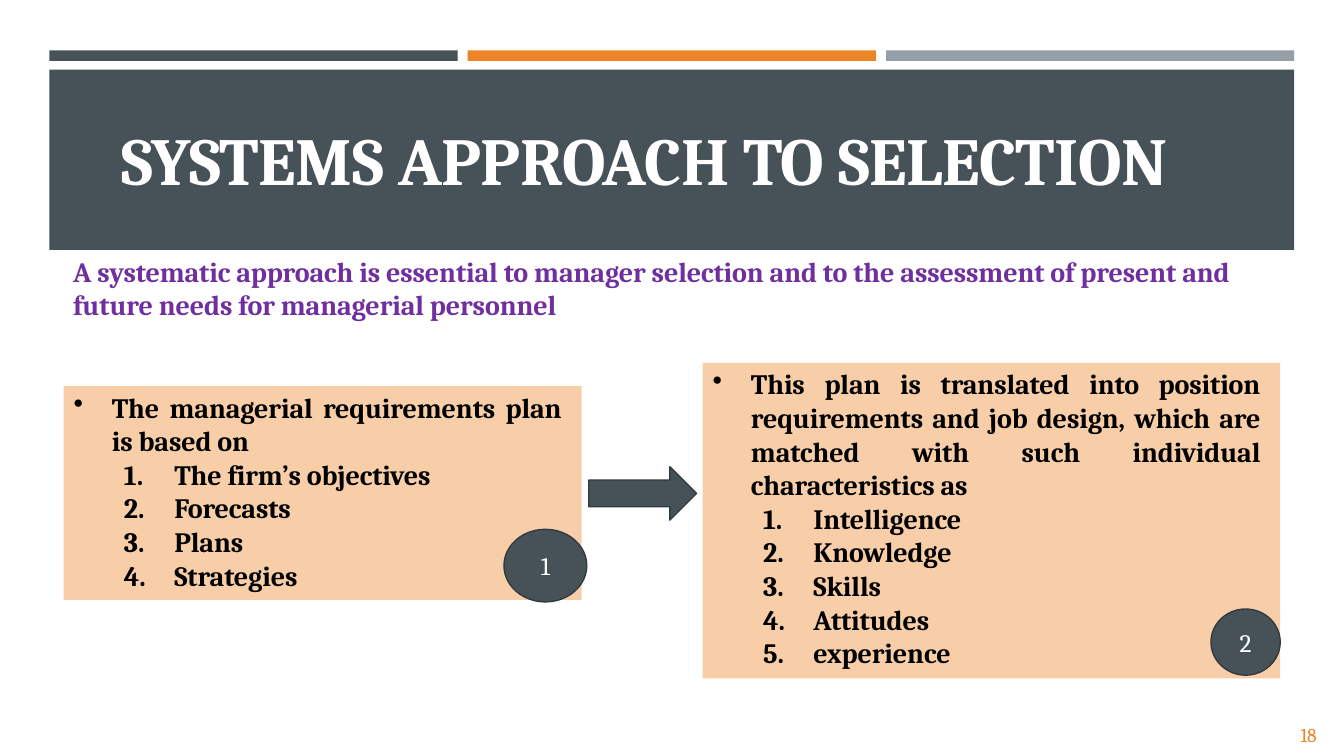
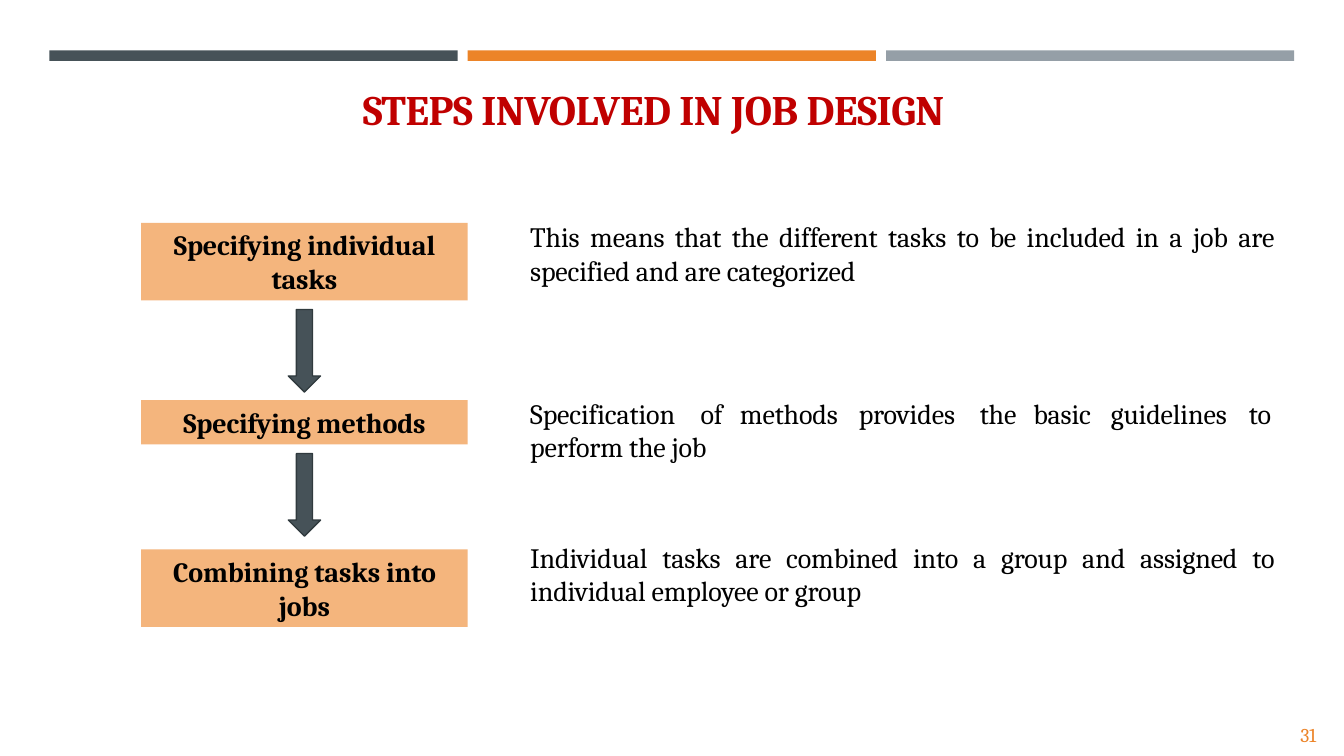
from dataclasses import dataclass

import pptx
import pptx.dml.color
import pptx.enum.shapes
import pptx.enum.text
import pptx.util
from lxml import etree
from pptx.oxml.ns import qn

SHAPE = pptx.enum.shapes.MSO_SHAPE
ALIGN = pptx.enum.text.PP_ALIGN
ANCHOR = pptx.enum.text.MSO_ANCHOR
SLIDE_WIDTH = pptx.util.Inches(13.33)
SLIDE_HEIGHT = pptx.util.Inches(7.5)


@dataclass(frozen=True)
class Theme:
    font: str = "Cambria"
    slate: str = "465258"
    outline: str = "303A3E"
    orange: str = "EC8428"
    gray: str = "959FA7"
    panel: str = "F8CEA9"
    step: str = "F4B57D"
    purple: str = "6F2F9F"
    red: str = "C00000"
    white: str = "FFFFFF"
    black: str = "000000"
    banner_size: int = 48
    heading_size: int = 30
    body_size: int = 20
    badge_size: int = 18
    page_size: int = 14


THEME = Theme()


def columns(count):
    """Length of some of the 100 columns across the slide."""
    return round(SLIDE_WIDTH * count / 100)


def rows(count):
    """Length of some of the 100 rows down the slide."""
    return round(SLIDE_HEIGHT * count / 100)


@dataclass(frozen=True)
class Box:
    """Area of the slide, in columns and rows."""
    left: float
    top: float
    width: float
    height: float

    def inner_box(self, left, top, width, height):
        """Area given as shares of this one."""
        return Box(self.left + left * self.width, self.top + top * self.height,
                   width * self.width, height * self.height)

    def place(self):
        return (columns(self.left), rows(self.top),
                columns(self.width), rows(self.height))


def color(value):
    return pptx.dml.color.RGBColor.from_string(value)


def add_shape(slide, kind, box, fill, line=None):
    shape = slide.shapes.add_shape(kind, *box.place())
    shape.shadow.inherit = False
    shape.fill.solid()
    shape.fill.fore_color.rgb = color(fill)
    if line:
        shape.line.color.rgb = color(line)
        shape.line.width = pptx.util.Pt(0.96)
    else:
        shape.line.fill.background()
    return shape


def prepare_frame(shape, anchor, left=0, top=0, right=0):
    frame = shape.text_frame
    frame.auto_size = pptx.enum.text.MSO_AUTO_SIZE.NONE
    frame.word_wrap = True
    frame.vertical_anchor = anchor
    frame.margin_left, frame.margin_right = columns(left), columns(right)
    frame.margin_top, frame.margin_bottom = rows(top), 0
    return frame


def format_paragraph(paragraph, size, ink, bold=False, align=ALIGN.LEFT, spacing=-10):
    paragraph.alignment = align
    font = paragraph.font
    font.name = THEME.font
    font.size = pptx.util.Pt(size)
    font.bold = bold
    font.color.rgb = color(ink)
    font._element.set("spc", str(spacing))


def set_marker(paragraph, indent, hanging, tag, **attributes):
    """Give a paragraph a bullet or an automatic number."""
    properties = paragraph._p.get_or_add_pPr()
    properties.set("marL", str(columns(indent)))
    properties.set("indent", str(-columns(hanging)))
    etree.SubElement(properties, qn(tag), attributes)


def set_tabs(paragraph, stops):
    tab_list = etree.SubElement(paragraph._p.get_or_add_pPr(), qn("a:tabLst"))
    for stop in stops:
        etree.SubElement(tab_list, qn("a:tab"), {"pos": str(columns(stop)), "algn": "l"})


def add_text(slide, box, text, size, ink, bold=False, align=ALIGN.LEFT, stops=()):
    shape = slide.shapes.add_textbox(*box.place())
    paragraph = prepare_frame(shape, ANCHOR.TOP).paragraphs[0]
    paragraph.text = text
    if stops:
        set_tabs(paragraph, stops)
    format_paragraph(paragraph, size, ink, bold, align)


def add_label(shape, text, size, ink, bold=False, margin=0):
    """Centre a text in a shape."""
    paragraph = prepare_frame(shape, ANCHOR.MIDDLE, left=margin, right=margin).paragraphs[0]
    paragraph.text = text
    format_paragraph(paragraph, size, ink, bold, ALIGN.CENTER)


def set_title(slide, box, text, size, ink, left=0, top=0.13, fill=None):
    title = slide.shapes.title
    title.left, title.top, title.width, title.height = box.place()
    if fill:
        title.fill.solid()
        title.fill.fore_color.rgb = color(fill)
    paragraph = prepare_frame(title, ANCHOR.TOP, left, top).paragraphs[0]
    paragraph.text = text
    format_paragraph(paragraph, size, ink, bold=True, spacing=-30)


def add_layout_bands(slide, box, gap=0.75):
    """Draw the three top bands and hand them to the layout."""
    fills = (THEME.slate, THEME.orange, THEME.gray)
    width = (box.width - gap * (len(fills) - 1)) / len(fills)
    for index, fill in enumerate(fills):
        band = Box(box.left + index * (width + gap), box.top, width, box.height)
        shape = add_shape(slide, SHAPE.RECTANGLE, band, fill)
        slide.slide_layout.shapes._spTree.append(shape._element)


def add_page_number(slide, number):
    add_text(slide, Box(96.75, 95.6, 2.25, 3.47), str(number),
             THEME.page_size, THEME.orange)


def add_panel(slide, box, lead, items, badge_box, badge):
    panel = add_shape(slide, SHAPE.RECTANGLE, box, THEME.panel)
    frame = prepare_frame(panel, ANCHOR.TOP, left=0.75, top=0.53, right=1.5)
    paragraph = frame.paragraphs[0]
    paragraph.text = lead
    set_marker(paragraph, 2.85, 2.85, "a:buChar", char="•")
    format_paragraph(paragraph, THEME.body_size, THEME.black, True, ALIGN.JUSTIFY)
    for item in items:
        paragraph = frame.add_paragraph()
        paragraph.text = item
        set_marker(paragraph, 7.5, 3.75, "a:buAutoNum", type="arabicPeriod")
        format_paragraph(paragraph, THEME.body_size, THEME.black, True)
    oval = add_shape(slide, SHAPE.OVAL, box.inner_box(*badge_box),
                     THEME.slate, THEME.outline)
    add_label(oval, badge, THEME.badge_size, THEME.white)


def build_selection_slide(slide):
    set_title(slide, Box(3.68, 9.2, 92.62, 23.87), "SYSTEMS APPROACH TO SELECTION",
              THEME.banner_size, THEME.white, left=5.33, top=6.4, fill=THEME.slate)
    add_text(slide, Box(5.45, 33.6, 89.18, 9.2),
             "A systematic approach is essential to manager selection and to the "
             "assessment of present and future needs for managerial personnel",
             THEME.body_size, THEME.purple, bold=True)
    add_panel(slide, Box(4.73, 51.07, 38.55, 28.27),
              "The managerial requirements plan\vis based on",
              ("The firm’s objectives", "Forecasts", "Plans", "Strategies"),
              (0.85, 0.67, 0.16, 0.34), "1")
    add_panel(slide, Box(52.28, 48, 42.98, 41.73),
              "This plan is translated into position requirements and job design, "
              "which are matched with such individual characteristics as",
              ("Intelligence", "Knowledge", "Skills", "Attitudes", "experience"),
              (0.88, 0.78, 0.12, 0.21), "2")
    add_shape(slide, SHAPE.RIGHT_ARROW, Box(43.8, 61.73, 8.03, 7.07),
              THEME.slate, THEME.outline)
    add_page_number(slide, 18)


def add_step(slide, box, label, description_top, description, stops=()):
    step = add_shape(slide, SHAPE.RECTANGLE, box, THEME.step)
    add_label(step, label, THEME.body_size, THEME.black, bold=True, margin=0.75)
    add_text(slide, Box(39.45, description_top, 55.35, 9.2), description,
             THEME.body_size, THEME.black,
             align=ALIGN.LEFT if stops else ALIGN.JUSTIFY, stops=stops)


def add_down_arrow(slide, box):
    """Point from a step to the next one."""
    width = 2.4
    arrow = Box(box.left + (box.width - width) / 2, box.top + box.height + 1.2, width, 10.93)
    add_shape(slide, SHAPE.DOWN_ARROW, arrow, THEME.slate, THEME.outline)


def build_steps_slide(slide):
    set_title(slide, Box(27, 10.93, 45.9, 7.07), "STEPS INVOLVED IN JOB DESIGN",
              THEME.heading_size, THEME.red)
    steps = (
        (29.47, 10.27, "Specifying individual tasks", 29.07,
         "This means that the different tasks to be included in a job are "
         "specified and are categorized"),
        (52.93, 5.87, "Specifying methods", 52.4,
         "Specification\tof\tmethods\tprovides\tthe\tbasic\tguidelines\tto perform the job",
         (12.68, 15.6, 24.45, 33.45, 37.43, 43.2, 53.48)),
        (72.67, 10.27, "Combining tasks into jobs", 71.47,
         "Individual tasks are combined into a group and assigned to "
         "individual employee or group"),
    )
    for index, (top, height, *content) in enumerate(steps):
        box = Box(10.5, top, 24.3, height)
        add_step(slide, box, *content)
        if index < len(steps) - 1:
            add_down_arrow(slide, box)
    add_page_number(slide, 31)


def main():
    presentation = pptx.Presentation()
    presentation.slide_width = SLIDE_WIDTH
    presentation.slide_height = SLIDE_HEIGHT
    title_only = presentation.slide_layouts[5]
    selection = presentation.slides.add_slide(title_only)
    add_layout_bands(selection, Box(3.68, 6.67, 92.62, 1.37))
    build_selection_slide(selection)
    build_steps_slide(presentation.slides.add_slide(title_only))
    presentation.save("out.pptx")


if __name__ == "__main__":
    main()
